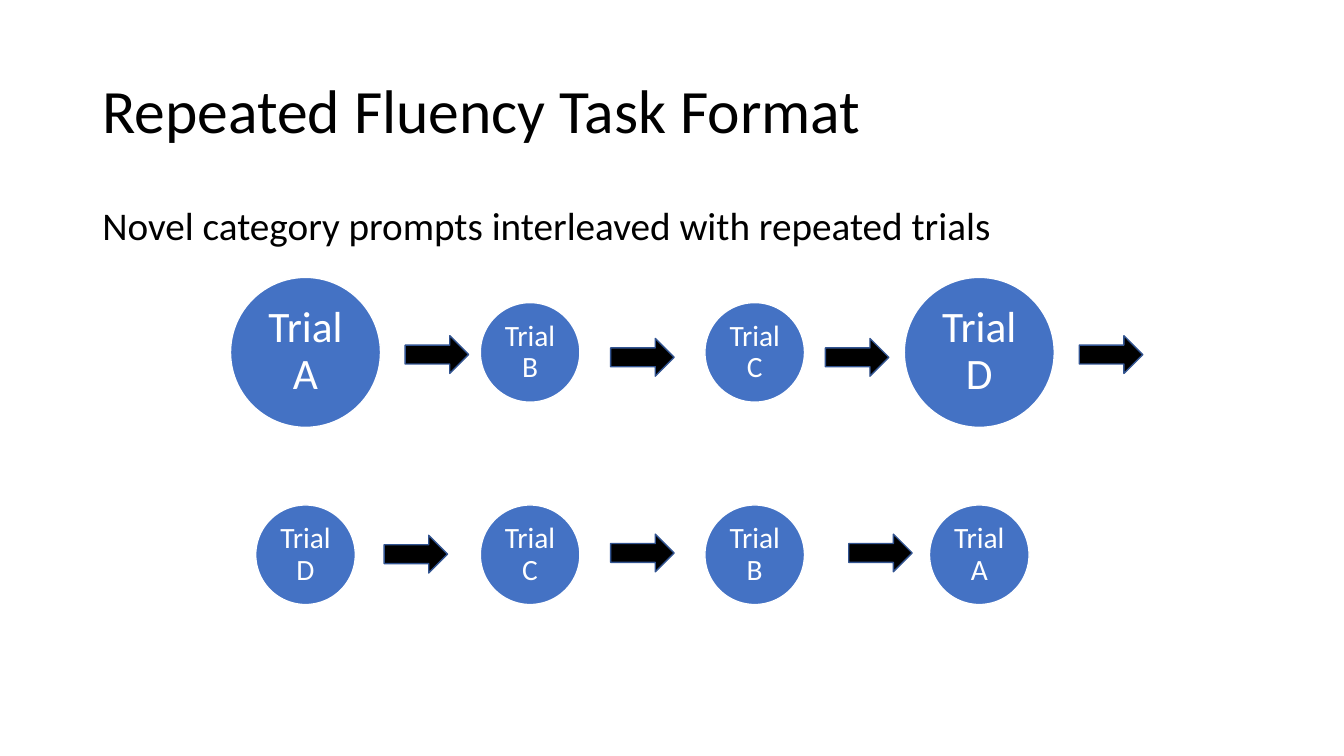
"""Build the slide that shows the repeated fluency task as two rows of trials."""
from pptx import Presentation
from pptx.dml.color import RGBColor
from pptx.enum.shapes import MSO_SHAPE
from pptx.enum.text import MSO_ANCHOR, PP_ALIGN
from pptx.util import Cm, Pt

OVAL, ARROW = MSO_SHAPE.OVAL, MSO_SHAPE.RIGHT_ARROW
TOP, MIDDLE = MSO_ANCHOR.TOP, MSO_ANCHOR.MIDDLE
LEFT, CENTER = PP_ALIGN.LEFT, PP_ALIGN.CENTER

FONT = "Calibri"
BLACK, WHITE, BLUE, NAVY = "000000", "FFFFFF", "4472C4", "325491"
TITLE = "Repeated Fluency Task Format"
PROMPT = "Novel category prompts interleaved with repeated trials"

LARGE = {"diameter": 3.78, "size": 31, "inset": 0.1}
SMALL = {"diameter": 2.51, "size": 21, "inset": 0.08}
ROWS = [
    {"middle": 8.88,
     "trials": [("A", LARGE), ("B", SMALL), ("C", SMALL), ("D", LARGE)],
     "arrows": [(10.21, 8.46), (15.39, 8.53), (20.8, 8.53), (27.2, 8.46)]},
    {"middle": 13.98,
     "trials": [("D", SMALL), ("C", SMALL), ("B", SMALL), ("A", SMALL)],
     "arrows": [(9.68, 13.49), (15.39, 13.46), (21.39, 13.46)]},
]
FIRST_CENTER, TRIAL_STEP = 7.7, 5.66
ARROW_WIDTH, ARROW_HEIGHT = 1.6, 0.95


def color(value):
    return RGBColor.from_string(value)


def write(shape, text, size, ink, align, anchor, inset=None, before=0):
    frame = shape.text_frame
    frame_format = {"word_wrap": True, "vertical_anchor": anchor}
    if inset is not None:
        for side in ("left", "right", "top", "bottom"):
            frame_format[f"margin_{side}"] = Cm(inset)
    for name, value in frame_format.items():
        setattr(frame, name, value)
    para = frame.paragraphs[0]
    para_format = {"alignment": align, "line_spacing": 0.9, "space_before": Pt(before)}
    for name, value in para_format.items():
        setattr(para, name, value)
    span = para.add_run()
    span.text = text
    for name, value in {"name": FONT, "size": Pt(size)}.items():
        setattr(span.font, name, value)
    span.font.color.rgb = color(ink)


def add_text(page, top, height, *text_format):
    box = page.shapes.add_textbox(Cm(2.33), Cm(top), Cm(29.21), Cm(height))
    write(box, *text_format)


def add_shape(page, kind, left, top, width, height, fill, line):
    shape = page.shapes.add_shape(kind, Cm(left), Cm(top), Cm(width), Cm(height))
    shape.shadow.inherit = False
    shape.fill.solid()
    shape.fill.fore_color.rgb = color(fill)
    shape.line.color.rgb = color(line)
    shape.line.width = Pt(1)
    return shape


deck = Presentation()
deck.slide_width, deck.slide_height = Cm(33.87), Cm(19.05)
page = deck.slides.add_slide(deck.slide_layouts[6])

add_text(page, 1.01, 3.68, TITLE, 44, BLACK, LEFT, MIDDLE)
add_text(page, 5.07, 12.09, PROMPT, 28, BLACK, LEFT, TOP, None, 10)

for row in ROWS:
    for column, (letter, style) in enumerate(row["trials"]):
        diameter = style["diameter"]
        left = FIRST_CENTER + column * TRIAL_STEP - diameter / 2
        top = row["middle"] - diameter / 2
        circle = add_shape(page, OVAL, left, top, diameter, diameter, BLUE, WHITE)
        write(circle, f"Trial {letter}", style["size"], WHITE, CENTER, MIDDLE, style["inset"])
    for left, top in row["arrows"]:
        add_shape(page, ARROW, left, top, ARROW_WIDTH, ARROW_HEIGHT, BLACK, NAVY)

deck.save("out.pptx")
